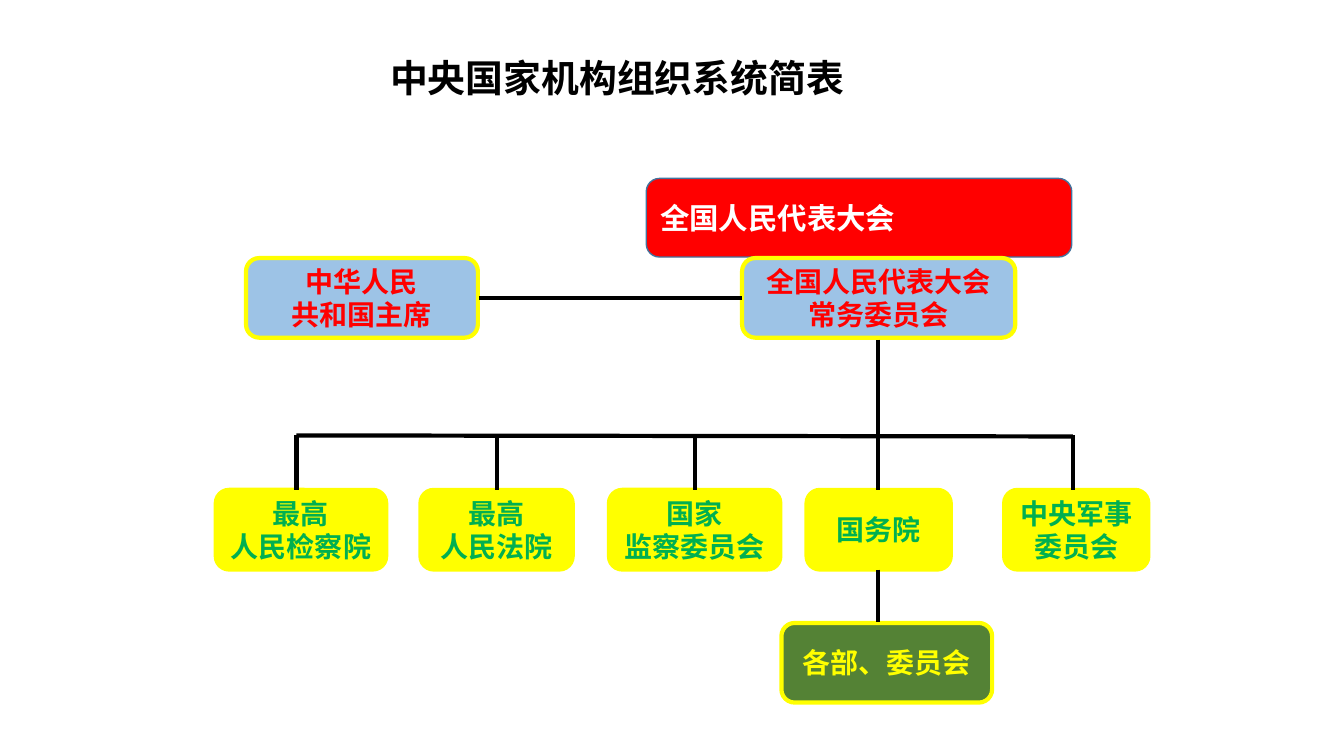
import lxml.etree
import pptx
import pptx.dml.color
import pptx.enum.shapes
import pptx.enum.text
import pptx.oxml.ns
import pptx.util
from dataclasses import dataclass

Inches = pptx.util.Inches
Pt = pptx.util.Pt
Align = pptx.enum.text.PP_ALIGN
Anchor = pptx.enum.text.MSO_ANCHOR


@dataclass(frozen=True)
class Theme:
    font: str = "Noto Sans CJK SC"
    black: str = "000000"
    white: str = "FFFFFF"
    red: str = "FF0000"
    yellow: str = "FFFF00"
    blue: str = "9DC3E6"
    edge: str = "43739E"
    green: str = "00B050"
    moss: str = "548235"
    title: int = 27
    congress: int = 21
    body: int = 20
    leading: float = 1.2
    thin: int = 1
    thick: int = 3


def rgb(value):
    return pptx.dml.color.RGBColor.from_string(value)


class OrgChart:
    def __init__(self, slide, theme):
        self.slide = slide
        self.theme = theme

    def set_text(self, frame, lines, color, size, align):
        frame.word_wrap = True
        frame.text = "\n".join(lines)
        for paragraph in frame.paragraphs:
            paragraph.alignment = align
            paragraph.line_spacing = Pt(size * self.theme.leading)
            paragraph.space_before = Pt(0)
            font = paragraph.font
            font.size = Pt(size)
            font.bold = True
            font.color.rgb = rgb(color)
            font.name = self.theme.font
            defaults = paragraph._p.pPr.find(pptx.oxml.ns.qn("a:defRPr"))
            east_asian = lxml.etree.SubElement(defaults, pptx.oxml.ns.qn("a:ea"))
            east_asian.set("typeface", self.theme.font)

    def title(self, text, left, top, width, height):
        heading = self.slide.shapes.title
        heading.left, heading.top = Inches(left), Inches(top)
        heading.width, heading.height = Inches(width), Inches(height)
        frame = heading.text_frame
        frame.margin_left = frame.margin_right = Inches(0.07)
        frame.margin_top = frame.margin_bottom = Inches(0.04)
        frame.vertical_anchor = Anchor.TOP
        frame.auto_size = pptx.enum.text.MSO_AUTO_SIZE.NONE
        self.set_text(frame, [text], self.theme.black, self.theme.title, Align.LEFT)

    def box(self, lines, left, top, width, fill, color, height=0.79,
            edge=None, weight=None, size=None, align=Align.CENTER):
        organ = self.slide.shapes.add_shape(
            pptx.enum.shapes.MSO_SHAPE.FLOWCHART_ALTERNATE_PROCESS,
            Inches(left), Inches(top), Inches(width), Inches(height))
        organ.shadow.inherit = False
        organ.fill.solid()
        organ.fill.fore_color.rgb = rgb(fill)
        organ.line.color.rgb = rgb(edge or self.theme.yellow)
        organ.line.width = Pt(weight or self.theme.thick)
        organ.text_frame.vertical_anchor = Anchor.MIDDLE
        self.set_text(organ.text_frame, lines, color, size or self.theme.body, align)

    def link(self, x1, y1, x2, y2):
        link = self.slide.shapes.add_connector(
            pptx.enum.shapes.MSO_CONNECTOR.STRAIGHT,
            Inches(x1), Inches(y1), Inches(x2), Inches(y2))
        link.line.color.rgb = rgb(self.theme.black)
        link.line.width = Pt(self.theme.thick)
        lxml.etree.SubElement(link._element.spPr, pptx.oxml.ns.qn("a:effectLst"))


def main():
    presentation = pptx.Presentation()
    presentation.slide_width = Inches(13.33)
    presentation.slide_height = Inches(7.5)
    theme = Theme()
    chart = OrgChart(presentation.slides.add_slide(presentation.slide_layouts[5]), theme)

    chart.title("中央国家机构组织系统简表", 3.8, 0.5, 6.51, 0.53)
    chart.box(["全国人民代表大会"], 6.41, 1.77, 4.22, theme.red, theme.white, height=0.78,
              edge=theme.edge, weight=theme.thin, size=theme.congress, align=Align.JUSTIFY)

    committee_top = 2.56
    chart.box(["全国人民代表大会", "常务委员会"], 7.36, committee_top, 2.71, theme.blue, theme.red)
    chart.box(["中华人民", "共和国主席"], 2.44, committee_top, 2.3, theme.blue, theme.red)
    chart.link(4.75, 2.96, 7.36, 2.96)

    agency_top, bar, trunk = 4.86, 4.32, 8.71
    agencies = [
        (["最高", "人民检察院"], 2.14, 1.69, 2.94),
        (["最高", "人民法院"], 4.17, 1.51, 4.93),
        (["国家", "监察委员会"], 6.04, 1.7, 6.89),
        (["国务院"], 8, 1.43, trunk),
        (["中央军事", "委员会"], 9.96, 1.43, 10.64),
    ]
    for lines, left, width, stem in agencies:
        chart.box(lines, left, agency_top, width, theme.yellow, theme.green)
    chart.link(agencies[0][-1], bar, agencies[-1][-1], bar + 0.01)
    for lines, left, width, stem in agencies:
        chart.link(stem, 3.37 if stem == trunk else bar, stem, agency_top)

    chart.box(["各部、委员会"], 7.75, 6.18, 2.09, theme.moss, theme.yellow)
    chart.link(trunk, 5.65, trunk, 6.17)

    presentation.save("out.pptx")


if __name__ == "__main__":
    main()
